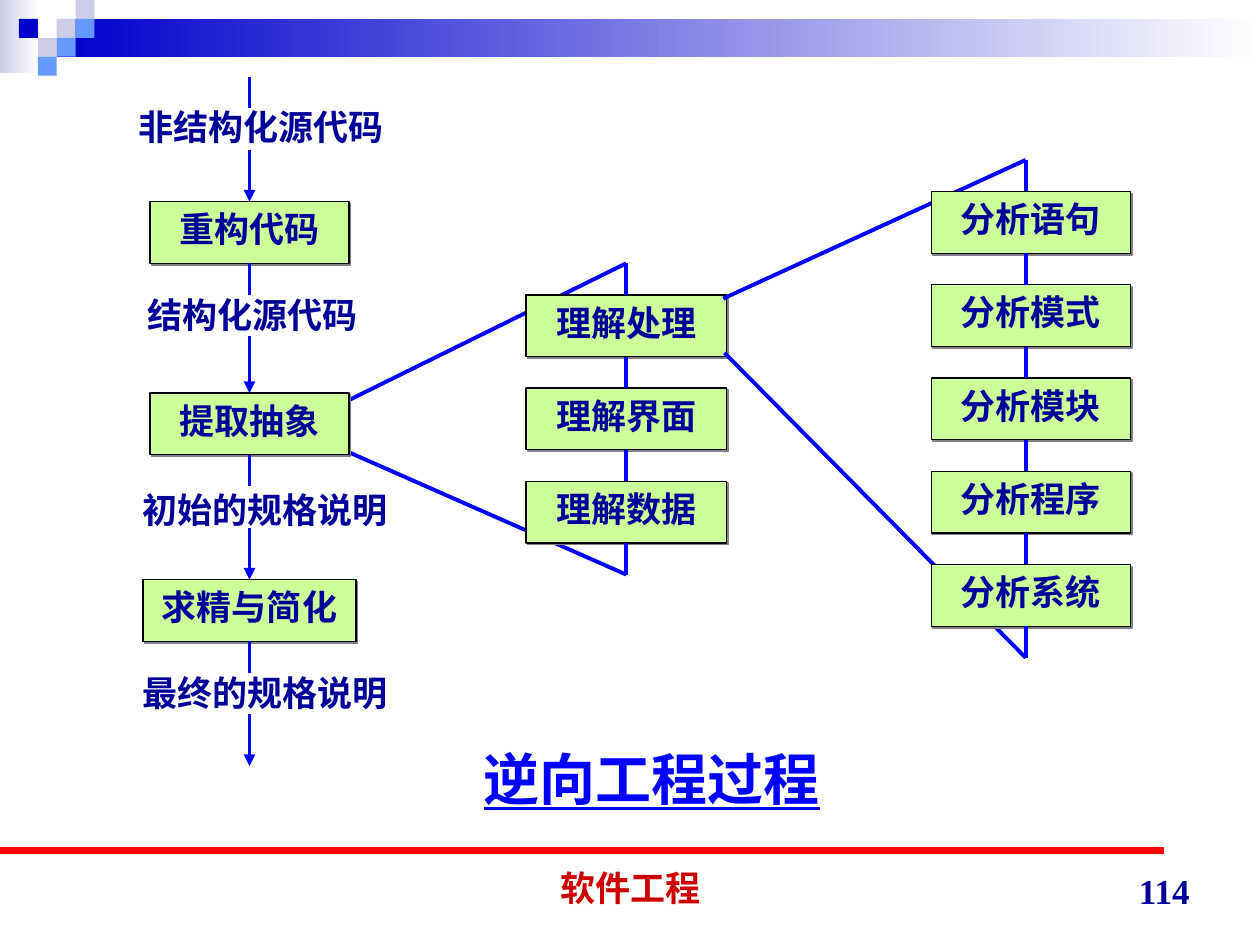
from lxml import etree
from pptx import Presentation
from pptx.dml.color import RGBColor
from pptx.enum.shapes import MSO_CONNECTOR, MSO_SHAPE
from pptx.enum.text import MSO_ANCHOR, PP_ALIGN as ALIGN
from pptx.oxml import parse_xml
from pptx.oxml.ns import nsdecls, qn
from pptx.util import Inches, Pt

NAVY = RGBColor(0x00, 0x00, 0x99)
BLUE = RGBColor(0x00, 0x00, 0xFF)
ROYAL = RGBColor(0x00, 0x00, 0xCC)
SKY = RGBColor(0x66, 0x99, 0xFF)
LAVENDER = RGBColor(0xCC, 0xCC, 0xE6)
WHITE = RGBColor(0xFF, 0xFF, 0xFF)
GREEN = RGBColor(0xCC, 0xFF, 0x99)
BLACK = RGBColor(0x00, 0x00, 0x00)
RED = RGBColor(0xFF, 0x00, 0x00)
DARK_RED = RGBColor(0xCC, 0x00, 0x00)

TOP, BOTTOM = 0, 2  # connection sites of a rectangle
BOX_HEIGHT = 0.49
BOX_PITCH = 0.74
STUB = 0.25  # short line between a box and its neighbour
LABEL_GAP = 0.58  # from a box to where the arrow below its label starts
SQUARE = 0.15


def write(frame, text, size=20, font="Times New Roman", color=NAVY,
          align=ALIGN.CENTER, anchor=MSO_ANCHOR.TOP, underline=None, wrap=True):
    frame.word_wrap = wrap
    frame.vertical_anchor = anchor
    paragraph = frame.paragraphs[0]
    paragraph.alignment = align
    run = paragraph.add_run()
    run.text = text
    run.font.size = Pt(size)
    run.font.name = font
    run.font.bold = True
    run.font.underline = underline
    run.font.color.rgb = color


def add_text(slide, left, top, width, height, text, **text_format):
    area = slide.shapes.add_textbox(*map(Inches, (left, top, width, height)))
    write(area.text_frame, text, **text_format)


def add_rect(slide, left, top, width, height, color, fade_to=None):
    rect = slide.shapes.add_shape(
        MSO_SHAPE.RECTANGLE, *map(Inches, (left, top, width, height)))
    rect.shadow.inherit = False
    rect.line.fill.background()
    if fade_to is None:
        rect.fill.solid()
        rect.fill.fore_color.rgb = color
    else:
        rect.fill.gradient()
        rect.fill.gradient_angle = 0
        for stop, stop_color in zip(rect.fill.gradient_stops, (color, fade_to)):
            stop.color.rgb = stop_color
    return rect


def add_step(slide, center, top, width, text):
    step = add_rect(slide, center - width / 2, top, width, BOX_HEIGHT, GREEN)
    step.line.color.rgb = BLACK
    step.line.width = Pt(0.75)
    effects = step._element.spPr.find(qn("a:effectLst"))
    effects.append(parse_xml(
        f'<a:outerShdw {nsdecls("a")} blurRad="0" dist="{Pt(1.4)}" dir="2700000" '
        'algn="ctr" rotWithShape="0"><a:srgbClr val="808080"/></a:outerShdw>'))
    write(step.text_frame, text)
    return step


def add_line(slide, start, end, color=BLUE, width=2.25, arrow=False,
             above=None, below=None):
    line = slide.shapes.add_connector(
        MSO_CONNECTOR.STRAIGHT, *map(Inches, (*start, *end)))
    line.line.color.rgb = color
    line.line.width = Pt(width)
    if arrow:
        etree.SubElement(line.line._get_or_add_ln(), qn("a:tailEnd"), type="triangle")
    etree.SubElement(line._element.spPr, qn("a:effectLst"))
    if above is not None:
        line.begin_connect(above, BOTTOM)
    if below is not None:
        line.end_connect(below, TOP)


def add_fan(slide, names, center, spine, first_top, width, upper_from, lower_from):
    """Column of sub-steps spread out between two slanted lines."""
    tops = [first_top + i * BOX_PITCH for i in range(len(names))]
    bottoms = [top + BOX_HEIGHT for top in tops]
    apex, foot = tops[0] - STUB, bottoms[-1] + STUB
    add_line(slide, upper_from, (spine, apex))
    add_line(slide, lower_from, (spine, foot))
    steps = [add_step(slide, center, top, width, name)
             for top, name in zip(tops, names)]
    joined = steps if spine == center else [None] * len(steps)
    for y1, y2, above, below in zip([apex] + bottoms, tops + [foot],
                                    [None] + joined, joined + [None]):
        add_line(slide, (spine, y1), (spine, y2), above=above, below=below)


def add_main_flow(slide):
    axis, start, end = 1.98, 0.61, 6.08
    stages = [("重构代码", 1.6, 1.58), ("提取抽象", 3.12, 1.58),
              ("求精与简化", 4.6, 1.69)]
    products = [("非结构化源代码", 1.0, 0.79, 2.23), ("结构化源代码", 1.07, 2.28, 2.07),
                ("初始的规格说明", 1.03, 3.83, 2.45), ("最终的规格说明", 1.03, 5.28, 2.41)]
    steps = [add_step(slide, axis, top, width, name) for name, top, width in stages]
    tops = [top for _, top, _ in stages]
    exits = [start] + [top + BOX_HEIGHT for top in tops]
    for product, y1, y2, above, below in zip(
            products, exits, tops + [end], [None] + steps, steps + [None]):
        name, left, top, width = product
        add_line(slide, (axis, y1), (axis, y1 + STUB), above=above)
        add_text(slide, left, top, width, 0.57, name, align=ALIGN.JUSTIFY)
        add_line(slide, (axis, y1 + LABEL_GAP), (axis, y2), arrow=True, below=below)


def add_banner(slide):
    add_rect(slide, 0, 0, 0.31, 0.58, LAVENDER, fade_to=WHITE)
    add_rect(slide, 0.45, 0.15, 9.55, 0.3, ROYAL, fade_to=WHITE)
    squares = [(3, 1, LAVENDER), (4, 0, LAVENDER), (4, 1, SKY), (2, 2, LAVENDER),
               (1, 1, ROYAL), (3, 2, SKY), (2, 3, SKY)]
    for column, row, color in squares:
        add_rect(slide, column * SQUARE, row * SQUARE, SQUARE, SQUARE, color)


def main():
    deck = Presentation()
    deck.slide_width, deck.slide_height = Inches(10), Inches(7.5)
    slide = deck.slides.add_slide(deck.slide_layouts[6])

    # Banner and footer rule
    add_banner(slide)
    add_line(slide, (0, 6.75), (9.24, 6.75), color=RED, width=4.5)

    # Process and its two levels of detail
    add_fan(slide, ["理解处理", "理解界面", "理解数据"], center=4.97, spine=4.97,
            first_top=2.34, width=1.59, upper_from=(2.76, 3.18), lower_from=(2.77, 3.59))
    add_fan(slide, ["分析语句", "分析模式", "分析模块", "分析程序", "分析系统"],
            center=8.18, spine=8.14, first_top=1.52, width=1.58,
            upper_from=(5.74, 2.37), lower_from=(5.75, 2.8))
    add_main_flow(slide)

    # Title and footer
    add_text(slide, 3.74, 5.86, 2.87, 0.64, "逆向工程过程", size=32, color=BLUE,
             align=ALIGN.LEFT, underline=True, wrap=False)
    add_text(slide, 3.42, 6.76, 3.17, 0.5, "软件工程", font="Arial", color=DARK_RED,
             anchor=MSO_ANCHOR.BOTTOM)
    add_text(slide, 7.21, 6.78, 2.33, 0.5, "114", align=ALIGN.RIGHT,
             anchor=MSO_ANCHOR.BOTTOM)

    deck.save("out.pptx")


if __name__ == "__main__":
    main()
